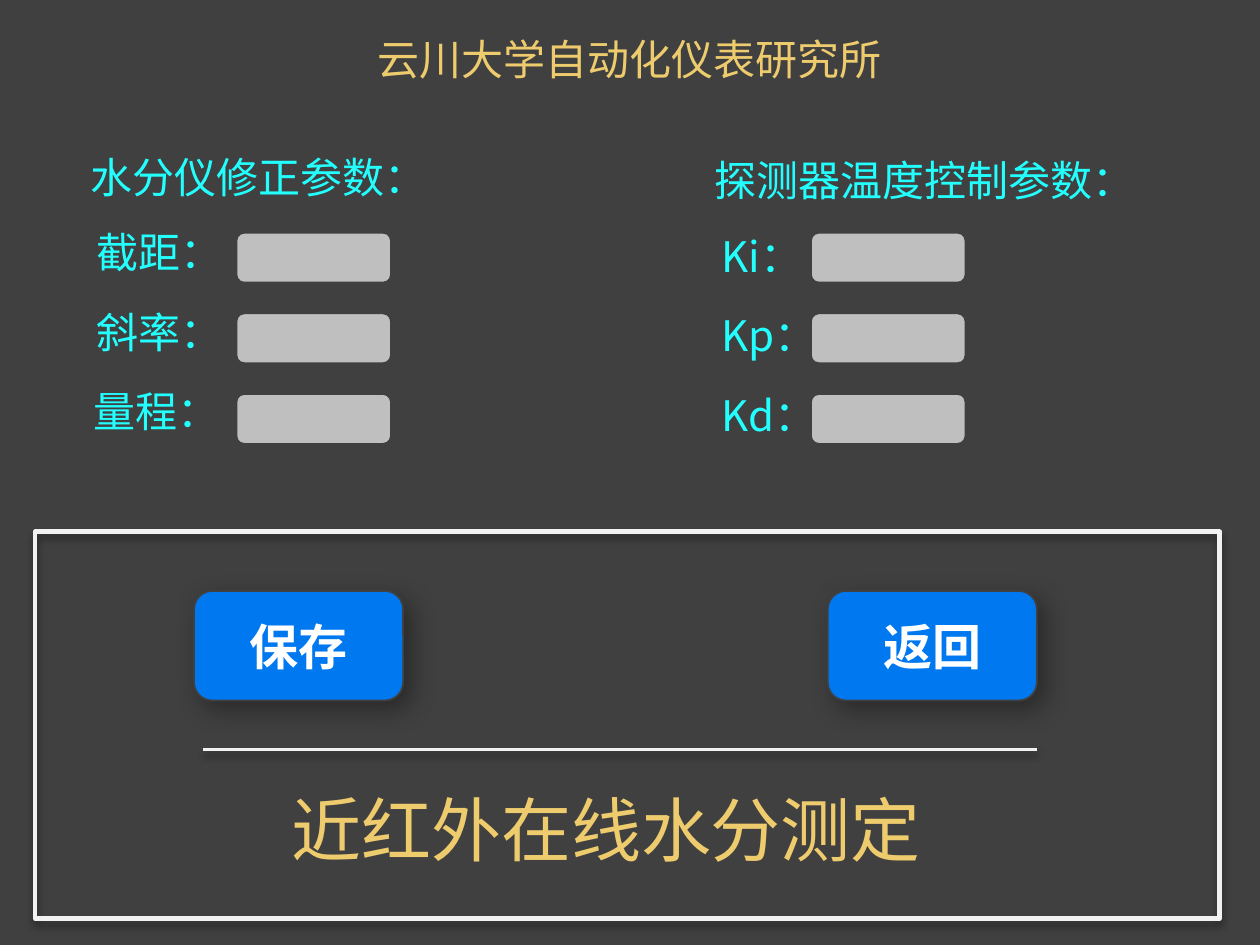
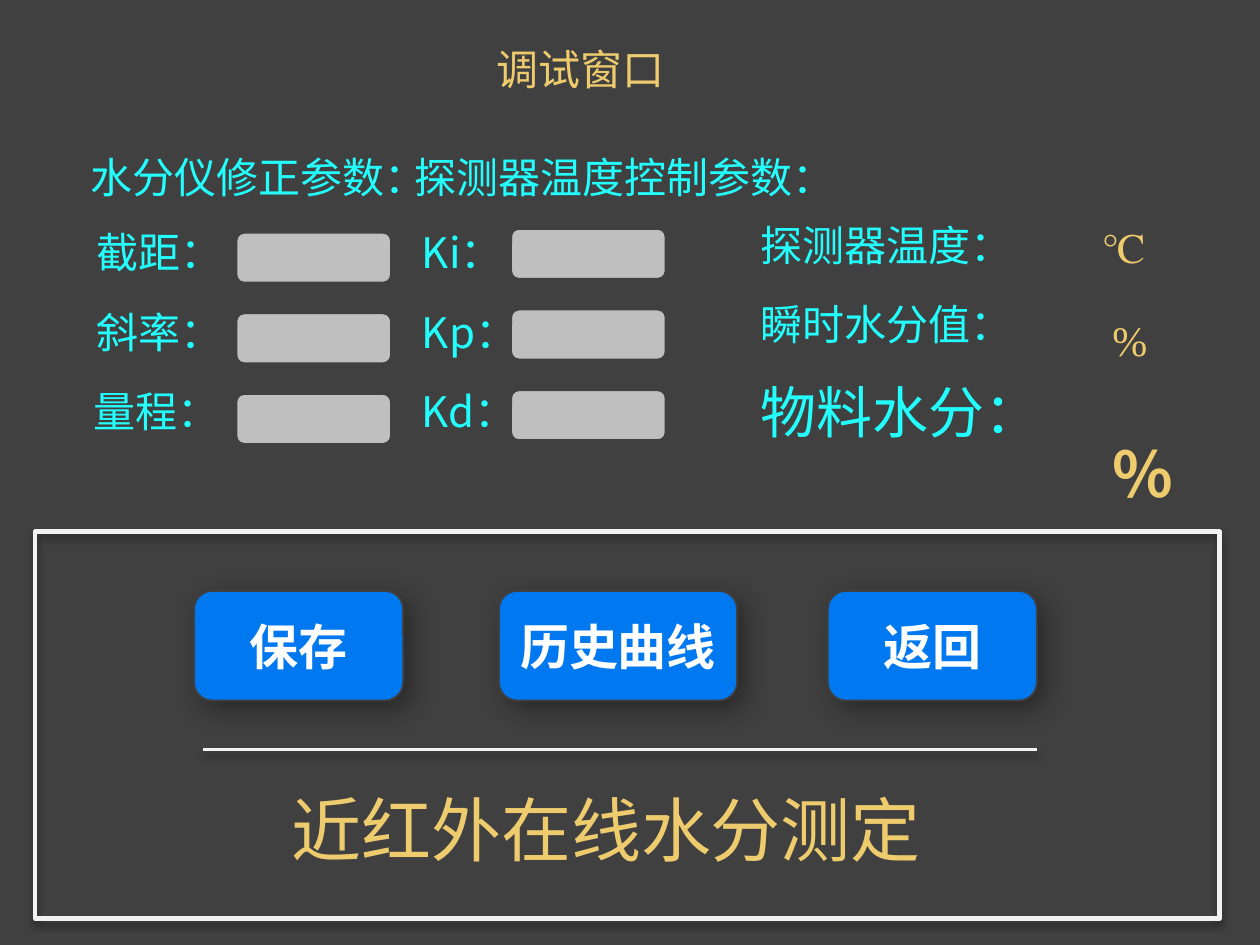
"""Build the two settings screens of an online moisture meter."""
from lxml.etree import SubElement
from pptx import Presentation
from pptx.dml.color import RGBColor
from pptx.enum.shapes import MSO_CONNECTOR, MSO_SHAPE
from pptx.enum.text import MSO_ANCHOR, MSO_AUTO_SIZE, PP_ALIGN
from pptx.oxml.ns import qn
from pptx.util import Inches, Pt

BLACK = RGBColor(0x00, 0x00, 0x00)
CHARCOAL = RGBColor(0x40, 0x40, 0x40)
GOLD = RGBColor(0xEE, 0xCC, 0x6E)
CYAN = RGBColor(0x23, 0xFF, 0xFF)
BLUE = RGBColor(0x00, 0x78, 0xF0)
SILVER = RGBColor(0xBF, 0xBF, 0xBF)
PALE = RGBColor(0xF2, 0xF2, 0xF2)
WHITE = RGBColor(0xFF, 0xFF, 0xFF)
SANS = "Noto Sans CJK SC"
SERIF = "Times New Roman"

presentation = Presentation()
presentation.slide_width = Inches(10)
presentation.slide_height = Inches(7.5)
COLUMN = presentation.slide_width / 100
ROW = presentation.slide_height / 75

LABEL = {"name": SANS, "size": Pt(24), "color": CYAN}
TITLE = {**LABEL, "color": GOLD}
UNIT = {**TITLE, "name": SERIF, "asian": SERIF}
BUTTON = {"name": SERIF, "size": Pt(28), "color": WHITE, "bold": True}
BUTTON_SHADOW = (36, 15, 6.2, 45)
FRAME_SHADOW = (40, 4, 3, 90)


def cast_shadow(shape, opacity, blur, distance, angle):
    properties = shape._element.spPr
    effects = properties.find(qn("a:effectLst"))
    if effects is None:
        effects = SubElement(properties, qn("a:effectLst"))
    shadow = SubElement(effects, qn("a:outerShdw"), blurRad=str(Pt(blur)), dist=str(Pt(distance)),
                        dir=str(angle * 60000), algn="tl", rotWithShape="0")
    color = SubElement(shadow, qn("a:srgbClr"), val=str(BLACK))
    SubElement(color, qn("a:alpha"), val=str(opacity * 1000))


def draw(slide, box, kind=None, fill=None, line=None, text="", style=LABEL, align=PP_ALIGN.LEFT):
    left, top, width, height = box
    place = [int(length) for length in (left * COLUMN, top * ROW, width * COLUMN, height * ROW)]
    if kind is None:
        shape = slide.shapes.add_textbox(*place)
        shape.text_frame.auto_size = MSO_AUTO_SIZE.SHAPE_TO_FIT_TEXT
    else:
        shape = slide.shapes.add_shape(kind, *place)
        shape.shadow.inherit = False
        shape.text_frame.vertical_anchor = MSO_ANCHOR.MIDDLE
        if fill is None:
            shape.fill.background()
        else:
            shape.fill.solid()
            shape.fill.fore_color.rgb = fill
        if line is None:
            shape.line.fill.background()
        else:
            shape.line.color.rgb, shape.line.width = line[0], Pt(line[1])
    if text:
        shape.text_frame.word_wrap = True
        paragraph = shape.text_frame.paragraphs[0]
        paragraph.alignment = align
        run = paragraph.add_run()
        run.text = text
        run.font.color.rgb = style["color"]
        for name in ("name", "size", "bold"):
            setattr(run.font, name, style.get(name))
        SubElement(run._r.get_or_add_rPr(), qn("a:ea"), typeface=style.get("asian", SANS))
    return shape


CORRECTION = ("水分仪修正参数：", (("截距：", 0.5), ("斜率：", 0.5), ("量程：", 0.2)), 12.5)
CONTROL = ("探测器温度控制参数：", (("Ki：", 0.6), ("Kp：", 0.6), ("Kd：", 0.6)), 8.6)
SAVE, HISTORY, BACK = ("保存", 15.4, 16.6), ("历史曲线", 39.6, 18.9), ("返回", 65.7, 16.6)

screens = [
    {
        "title": ("云川大学自动化仪表研究所", (29, 2.2, 43.9, 5)),
        "panels": [(6.2, 11.5, CORRECTION), (55.7, 11.8, CONTROL)],
        "buttons": [SAVE, BACK],
        "readings": [],
    },
    {
        "title": ("调试窗口", (38.4, 3, 17.1, 5)),
        "panels": [(6.2, 11.5, CORRECTION), (31.9, 11.5, CONTROL)],
        "buttons": [SAVE, HISTORY, BACK],
        "readings": [
            ("探测器温度：", (59.4, 16.9, 25.3, 5), LABEL),
            ("℃", (86.5, 17.1, 8.2, 5), UNIT),
            ("瞬时水分值：", (59.4, 23.2, 21.3, 5), LABEL),
            ("%", (87.3, 24.5, 8.2, 5), UNIT),
            ("物料水分：", (59.4, 29.5, 33.1, 6.4), {**LABEL, "size": Pt(32)}),
            ("%", (87.3, 34, 8.2, 7.1), {**TITLE, "size": Pt(36), "bold": True}),
        ],
    },
]

for screen in screens:
    slide = presentation.slides.add_slide(presentation.slide_layouts[6])
    slide.background.fill.solid()
    slide.background.fill.fore_color.rgb = BLACK
    draw(slide, (0, 0, 100, 75), MSO_SHAPE.RECTANGLE, CHARCOAL)

    title, title_box = screen["title"]
    draw(slide, title_box, text=title, style=TITLE)

    frame = draw(slide, (2.8, 42.2, 94, 30.7), MSO_SHAPE.RECTANGLE, line=(PALE, 2.5))
    cast_shadow(frame, *FRAME_SHADOW)
    divider = slide.shapes.add_connector(MSO_CONNECTOR.STRAIGHT, int(16.1 * COLUMN), int(59.5 * ROW),
                                         int(82.3 * COLUMN), int(59.5 * ROW))
    divider.line.color.rgb, divider.line.width = PALE, Pt(2)
    cast_shadow(divider, *FRAME_SHADOW)
    draw(slide, (20.9, 61.9, 54.4, 7.7), text="近红外在线水分测定",
         style={**TITLE, "size": Pt(40)}, align=PP_ALIGN.CENTER)

    for caption, left, width in screen["buttons"]:
        button = draw(slide, (left, 46.9, width, 8.7), MSO_SHAPE.ROUNDED_RECTANGLE, BLUE,
                      (CHARCOAL, 1), caption, BUTTON, PP_ALIGN.CENTER)
        cast_shadow(button, *BUTTON_SHADOW)

    for left, top, (heading, labels, field_offset) in screen["panels"]:
        draw(slide, (left, top, 34.3, 5), text=heading)
        field_top = top + (6.9 if labels == CORRECTION[1] else 6.6)
        for index, (label, indent) in enumerate(labels):
            draw(slide, (left + indent, top + 6 + index * 6.3, 14.2, 5), text=label)
            draw(slide, (left + field_offset, field_top + index * 6.4, 12.4, 4.1),
                 MSO_SHAPE.ROUNDED_RECTANGLE, SILVER, (CHARCOAL, 2))

    for text, box, style in screen["readings"]:
        draw(slide, box, text=text, style=style)

presentation.save("out.pptx")
